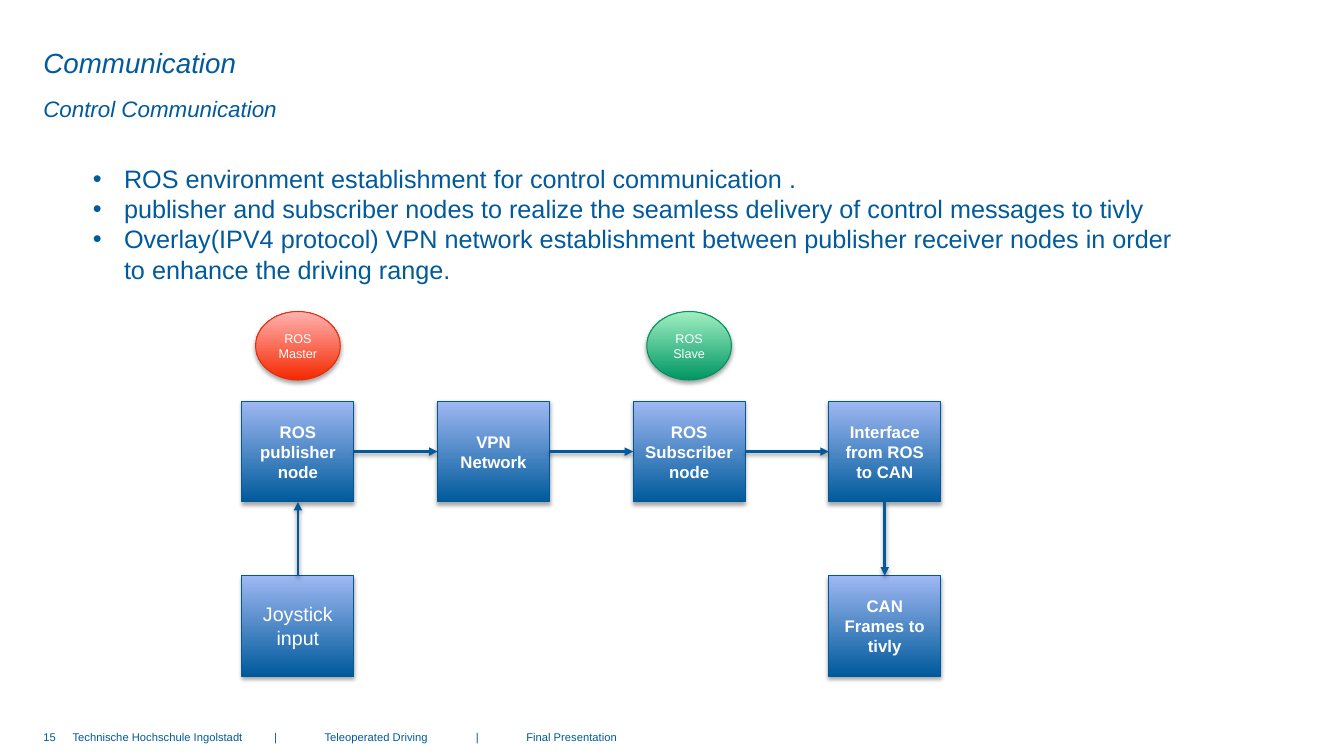
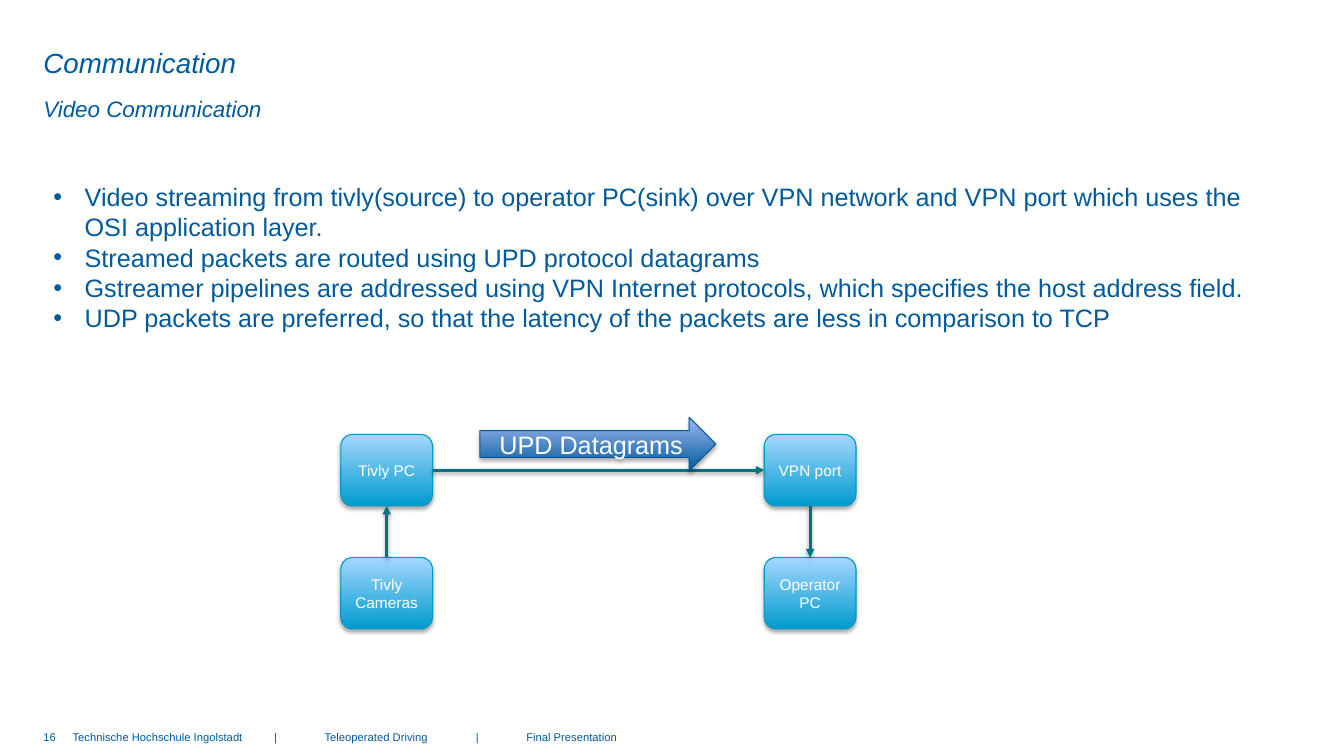
from dataclasses import dataclass
from lxml import etree
from pptx import Presentation
from pptx import util as u
from pptx.dml import color
from pptx.enum import shapes, text
from pptx.oxml import ns

KIND = shapes.MSO_SHAPE
TOP, LEFT, BOTTOM, RIGHT = range(4)


@dataclass(frozen=True)
class Theme:
    """Hold the colours, type sizes and font of the deck."""
    font: str = "Arial"
    ink: str = "005A9B"
    teal: str = "007382"
    white: str = "FFFFFF"
    blue: tuple = ("005A9B", "9FB8F3", "005898")
    sky: tuple = ("009BCD", "A5D7FF", "0098C8")
    red: tuple = ("F52800", "FFB3B1", "E62D09")
    green: tuple = ("009664", "A1EFC1", "009362")
    title: float = 19.8
    sub: float = 16
    body: float = 18
    foot: float = 8
    edge: float = 0.75
    wire: float = 2


T = Theme()
PLAIN = dict(margin_left=0, margin_right=0, margin_top=0, margin_bottom=0)


def put(obj, **vals):
    """Set attributes from format values."""
    for key, val in vals.items():
        setattr(obj, key, val)


def place(shape, box):
    """Move a shape to a box in inches."""
    for key, val in zip(("left", "top", "width", "height"), box):
        setattr(shape, key, u.Inches(val))


def node(root, tag, **vals):
    """Append a drawing element with attributes."""
    return etree.SubElement(root, ns.qn(tag), {k: str(v) for k, v in vals.items()})


def shade(shape, alpha, dist):
    """Give a shape a soft shadow below it."""
    fx = node(shape._element.spPr, "a:effectLst")
    cast = node(fx, "a:outerShdw", blurRad=u.Pt(3.1), dist=u.Pt(dist),
                dir=5400000, rotWithShape=0)
    node(node(cast, "a:srgbClr", val="000000"), "a:alpha", val=alpha * 1000)


def write(shape, lines, size, tint=T.ink, bold=False, italic=False, gap=1.0,
          align=text.PP_ALIGN.LEFT, bullet=False, tabs=(), **frame):
    """Fill a shape with formatted paragraphs."""
    tf = shape.text_frame
    tf.text = "\n".join(lines)
    put(tf, word_wrap=True, auto_size=text.MSO_AUTO_SIZE.NONE, **frame)
    for para in tf.paragraphs:
        put(para, alignment=align, line_spacing=gap,
            space_before=u.Pt(0), space_after=u.Pt(0))
        pr = para._p.get_or_add_pPr()
        hang = u.Inches(0.31) if bullet else 0
        pr.set("marL", str(hang))
        pr.set("indent", str(-hang))
        if bullet:
            node(pr, "a:buFont", typeface=T.font)
            node(pr, "a:buChar", char="•")
        else:
            node(pr, "a:buNone")
        if tabs:
            stops = node(pr, "a:tabLst")
            for stop in tabs:
                node(stops, "a:tab", pos=u.Inches(stop), algn="l")
        put(para.font, name=T.font, size=u.Pt(size), bold=bold, italic=italic)
        para.font.color.rgb = color.RGBColor.from_string(tint)


def block(slide, kind, box, lines, size, hues, bold=False):
    """Draw a shaded gradient shape with centred text."""
    shape = slide.shapes.add_shape(kind, 0, 0, 0, 0)
    place(shape, box)
    shape.fill.gradient()
    shape.fill.gradient_angle = 90
    for stop, hue in zip(shape.fill.gradient_stops, hues):
        stop.color.rgb = color.RGBColor.from_string(hue)
    shape.line.color.rgb = color.RGBColor.from_string(hues[2])
    shape.line.width = u.Pt(T.edge)
    shade(shape, 35, 1.8)
    write(shape, lines, size, T.white, bold, align=text.PP_ALIGN.CENTER,
          vertical_anchor=text.MSO_ANCHOR.MIDDLE)
    return shape


def link(slide, start, out, end, into, hue):
    """Join two nodes with an arrow."""
    wire = slide.shapes.add_connector(shapes.MSO_CONNECTOR.STRAIGHT, 0, 0, 0, 0)
    wire.begin_connect(start, out)
    wire.end_connect(end, into)
    wire.line.color.rgb = color.RGBColor.from_string(hue)
    wire.line.width = u.Pt(T.wire)
    node(wire.line._get_or_add_ln(), "a:tailEnd", type="triangle")
    shade(wire, 38, 1.6)


def graph(slide, kind, box, pitch, hues, hue, nodes, links):
    """Place nodes on a grid from the first box and link them."""
    x, y, w, h = box
    made = {}
    for (col, row), label, size, bold in nodes:
        spot = (x + col * pitch[0], y + row * pitch[1], w, h)
        made[col, row] = block(slide, kind, spot, [label], size, hues, bold)
    for start, out, end, into in links:
        link(slide, made[start], out, made[end], into, hue)


def frame(deck, num, sub, box, items):
    """Make a slide with heading, list and footer."""
    slide = deck.slides.add_slide(deck.slide_layouts[3])
    head, under, body = slide.placeholders
    place(head, (0.43, 0.44, 10.67, 0.36))
    write(head, ["Communication"], T.title, italic=True,
          vertical_anchor=text.MSO_ANCHOR.MIDDLE, **PLAIN)
    place(under, (0.43, 0.81, 10.67, 0.37))
    write(under, [sub], T.sub, italic=True, gap=1.5, **PLAIN)
    place(body, box)
    write(body, items, T.body, bullet=True)
    foot = ("Technische Hochschule Ingolstadt\t|\tTeleoperated Driving"
            "\t|\tFinal Presentation")
    for left, wide, line, tabs in ((0.43, 0.28, str(num), ()),
                                   (0.72, 8.96, foot, (1.78, 1.9, 3.01, 3.13))):
        note = slide.shapes.add_textbox(0, 0, 0, 0)
        place(note, (left, 7.25, wide, 0.23))
        write(note, [line], T.foot, tabs=tabs, **PLAIN)
    return slide


def control(deck):
    """Build the control communication slide."""
    slide = frame(deck, 15, "Control Communication", (0.82, 1.57, 11.4, 1.31), [
        "ROS environment establishment for control communication .",
        "publisher and subscriber nodes to realize the seamless delivery of "
        "control messages to tivly",
        "Overlay(IPV4 protocol) VPN network establishment between publisher "
        "receiver nodes in order\vto enhance the driving range."])
    x, y, w, h = box = (2.4, 3.98, 1.11, 1)
    pitch = (1.94, 1.73)
    row = ["ROS publisher node", "VPN Network", "ROS Subscriber node",
           "Interface from ROS to CAN"]
    nodes = [((col, 0), label, 12, True) for col, label in enumerate(row)]
    nodes += [((0, 1), "Joystick input", 14, False),
              ((3, 1), "CAN Frames to tivly", 12, True)]
    links = [((col, 0), RIGHT, (col + 1, 0), LEFT) for col in range(3)]
    links += [((0, 1), TOP, (0, 0), BOTTOM), ((3, 0), BOTTOM, (3, 1), TOP)]
    graph(slide, KIND.RECTANGLE, box, pitch, T.blue, T.ink, nodes, links)
    for col, role, hues in ((0, "Master", T.red), (2, "Slave", T.green)):
        spot = (x + col * pitch[0] + (w - 0.84) / 2, y - 0.89, 0.84, 0.68)
        block(slide, KIND.OVAL, spot, ["ROS", role], 9, hues)


def video(deck):
    """Build the video communication slide."""
    slide = frame(deck, 16, "Video Communication", (0.43, 1.75, 12.6, 1.62), [
        "Video streaming from tivly(source) to operator PC(sink) over VPN network "
        "and VPN port which uses the\vOSI application layer.",
        "Streamed packets are routed using UPD protocol datagrams",
        "Gstreamer pipelines are addressed using VPN Internet protocols, which "
        "specifies the host address field.",
        "UDP packets are preferred, so that the latency of the packets are less "
        "in comparison to TCP"])
    x, y, w, h = box = (3.38, 4.31, 0.91, 0.71)
    cells = {(0, 0): "Tivly PC", (1, 0): "VPN port",
             (0, 1): "Tivly Cameras", (1, 1): "Operator PC"}
    nodes = [(cell, label, 11, False) for cell, label in cells.items()]
    links = [((0, 0), RIGHT, (1, 0), LEFT), ((0, 1), TOP, (0, 0), BOTTOM),
             ((1, 0), BOTTOM, (1, 1), TOP)]
    graph(slide, KIND.ROUNDED_RECTANGLE, box, (4.2, 1.22), T.sky, T.teal,
          nodes, links)
    block(slide, KIND.RIGHT_ARROW, (x + 1.38, y - 0.17, 2.34, 0.53),
          ["UPD Datagrams"], T.body, T.blue)


def main():
    """Build and save the deck."""
    deck = Presentation()
    put(deck, slide_width=u.Inches(13.33), slide_height=u.Inches(7.5))
    control(deck)
    video(deck)
    deck.save("out.pptx")


if __name__ == "__main__":
    main()
